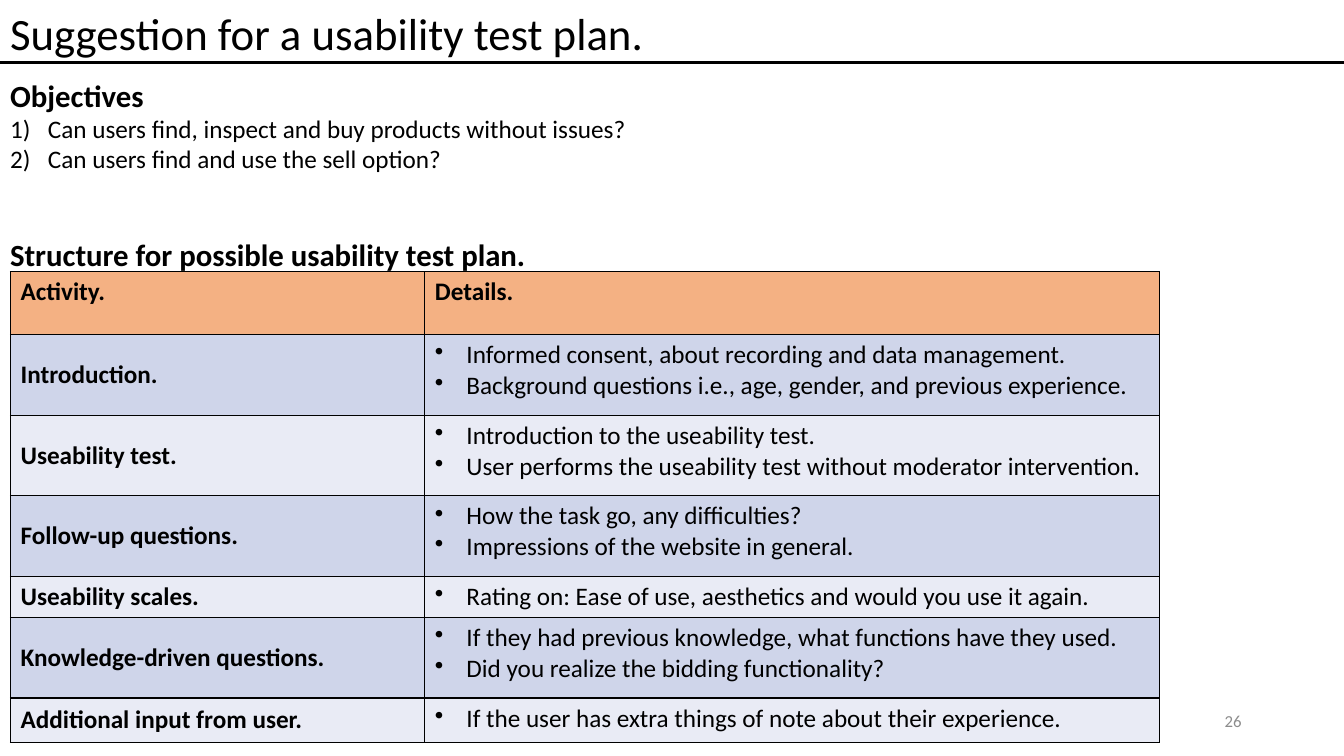
from lxml import etree
from pptx import Presentation
from pptx.dml.color import RGBColor
from pptx.enum.shapes import MSO_CONNECTOR
from pptx.enum.text import MSO_ANCHOR, MSO_AUTO_SIZE, PP_ALIGN
from pptx.oxml.ns import qn
from pptx.util import Pt

STRAIGHT = MSO_CONNECTOR.STRAIGHT
TOP, MIDDLE = MSO_ANCHOR.TOP, MSO_ANCHOR.MIDDLE
LEFT, RIGHT = PP_ALIGN.LEFT, PP_ALIGN.RIGHT
NO_FIT = MSO_AUTO_SIZE.NONE

COLORS = {
    "ink": "000000",
    "number": "8C8C8C",
    "header": "F4B183",
    "band_dark": "CFD5EA",
    "band_light": "E9EBF5",
}
WIDTH, HEIGHT = 960, 540

OBJECTIVES = [
    "Can users find, inspect and buy products without issues?",
    "Can users find and use the sell option?",
]
# Activity, details, row height
PLAN = [
    ("Introduction.", [
        "Informed consent, about recording and data management.",
        "Background questions i.e., age, gender, and previous experience."], 57.6),
    ("Useability test.", [
        "Introduction to the useability test.",
        "User performs the useability test without moderator intervention."], 57.6),
    ("Follow-up questions.", [
        "How the task go, any difficulties?",
        "Impressions of the website in general."], 57.6),
    ("Useability scales.", [
        "Rating on: Ease of use, aesthetics and would you use it again."], 29.2),
    ("Knowledge-driven questions.", [
        "If they had previous knowledge, what functions have they used.",
        "Did you realize the bidding functionality?"], 57.6),
    ("Additional input from user.", [
        "If the user has extra things of note about their experience."], 31.5),
]


class PlanSlide:
    """Holds the style and the current slide."""

    font = "Calibri"

    def __init__(self, slide):
        self.slide = slide

    def color(self, key):
        return RGBColor.from_string(COLORS[key])

    def place(self, shape, left, top, width, height, anchor=TOP):
        shape.left, shape.top = Pt(left), Pt(top)
        shape.width, shape.height = Pt(width), Pt(height)
        frame = shape.text_frame
        frame.word_wrap = True
        frame.auto_size = NO_FIT
        frame.vertical_anchor = anchor
        return frame

    def paragraph(self, frame, text, size, bold=False, color="ink", align=LEFT,
                  bullet=("buNone", {}), indent=0, before=0):
        """Fill the empty first paragraph, or add one after it."""
        paragraph = frame.paragraphs[0]
        if paragraph.runs:
            paragraph = frame.add_paragraph()
        properties = paragraph._p.get_or_add_pPr()
        properties.set("marL", str(Pt(indent)))
        properties.set("indent", str(-Pt(indent)))
        tag, attributes = bullet
        etree.SubElement(properties, qn("a:" + tag), attributes)
        paragraph.alignment = align
        paragraph.space_before = Pt(before)
        run = paragraph.add_run()
        run.text = text
        run.font.name = self.font
        run.font.size = Pt(size)
        run.font.bold = bold
        run.font.color.rgb = self.color(color)

    def title(self, text):
        frame = self.place(self.slide.shapes.title, 0, 0, WIDTH, 46, MIDDLE)
        self.paragraph(frame, text, 32)

    def rule(self, y):
        line = self.slide.shapes.add_connector(STRAIGHT, 0, Pt(y), Pt(WIDTH), Pt(y))
        line.line.color.rgb = self.color("ink")
        line.line.width = Pt(2.25)
        etree.SubElement(line._element.spPr, qn("a:effectLst"))

    def body(self, heading, items, next_heading):
        frame = self.place(self.slide.placeholders[1], 0, 51, 463, 148)
        self.paragraph(frame, heading, 22, bold=True)
        for item in items:
            self.paragraph(frame, item, 18, indent=27,
                           bullet=("buAutoNum", {"type": "arabicParenR"}))
        self.paragraph(frame, next_heading, 22, bold=True, before=44)

    def cell(self, cell, fill, anchor=TOP):
        properties = cell._tc.get_or_add_tcPr()
        for side in ("lnL", "lnR", "lnT", "lnB"):
            border = etree.SubElement(properties, qn("a:" + side), w=str(Pt(1)))
            solid = etree.SubElement(border, qn("a:solidFill"))
            etree.SubElement(solid, qn("a:srgbClr"), val=COLORS["ink"])
        cell.fill.solid()
        cell.fill.fore_color.rgb = self.color(fill)
        cell.vertical_anchor = anchor
        return cell.text_frame

    def table(self, headers, plan, left, top, widths, header_height):
        heights = [header_height] + [height for _, _, height in plan]
        table = self.slide.shapes.add_table(
            len(heights), len(widths), Pt(left), Pt(top),
            Pt(sum(widths)), Pt(sum(heights))).table
        table.first_row = table.horz_banding = False
        for column, width in zip(table.columns, widths):
            column.width = Pt(width)
        for row, height in zip(table.rows, heights):
            row.height = Pt(height)
        for column, header in enumerate(headers):
            frame = self.cell(table.cell(0, column), "header")
            self.paragraph(frame, header, 18, bold=True)
        for row, (activity, details, _) in enumerate(plan, 1):
            band = "band_dark" if row % 2 else "band_light"
            frame = self.cell(table.cell(row, 0), band, MIDDLE)
            self.paragraph(frame, activity, 18, bold=True)
            frame = self.cell(table.cell(row, 1), band)
            for detail in details:
                self.paragraph(frame, detail, 18, indent=22.5,
                               bullet=("buChar", {"char": "•"}))

    def page_number(self, text):
        box = self.slide.shapes.add_textbox(0, 0, 0, 0)
        frame = self.place(box, 678, 500.5, 216, 29, MIDDLE)
        self.paragraph(frame, text, 12, color="number", align=RIGHT)


def main():
    presentation = Presentation()
    presentation.slide_width, presentation.slide_height = Pt(WIDTH), Pt(HEIGHT)
    layout = presentation.slide_layouts[1]
    plan_slide = PlanSlide(presentation.slides.add_slide(layout))

    # Title band
    plan_slide.title("Suggestion for a usability test plan.")
    plan_slide.rule(44.5)

    # Objectives and heading of the plan
    plan_slide.body("Objectives", OBJECTIVES,
                    "Structure for possible usability test plan.")

    # Test plan
    plan_slide.table(["Activity.", "Details."], PLAN, left=7.5, top=194,
                     widths=[296, 524.5], header_height=45)

    # Page number
    plan_slide.page_number("26")

    presentation.save("out.pptx")


if __name__ == "__main__":
    main()
